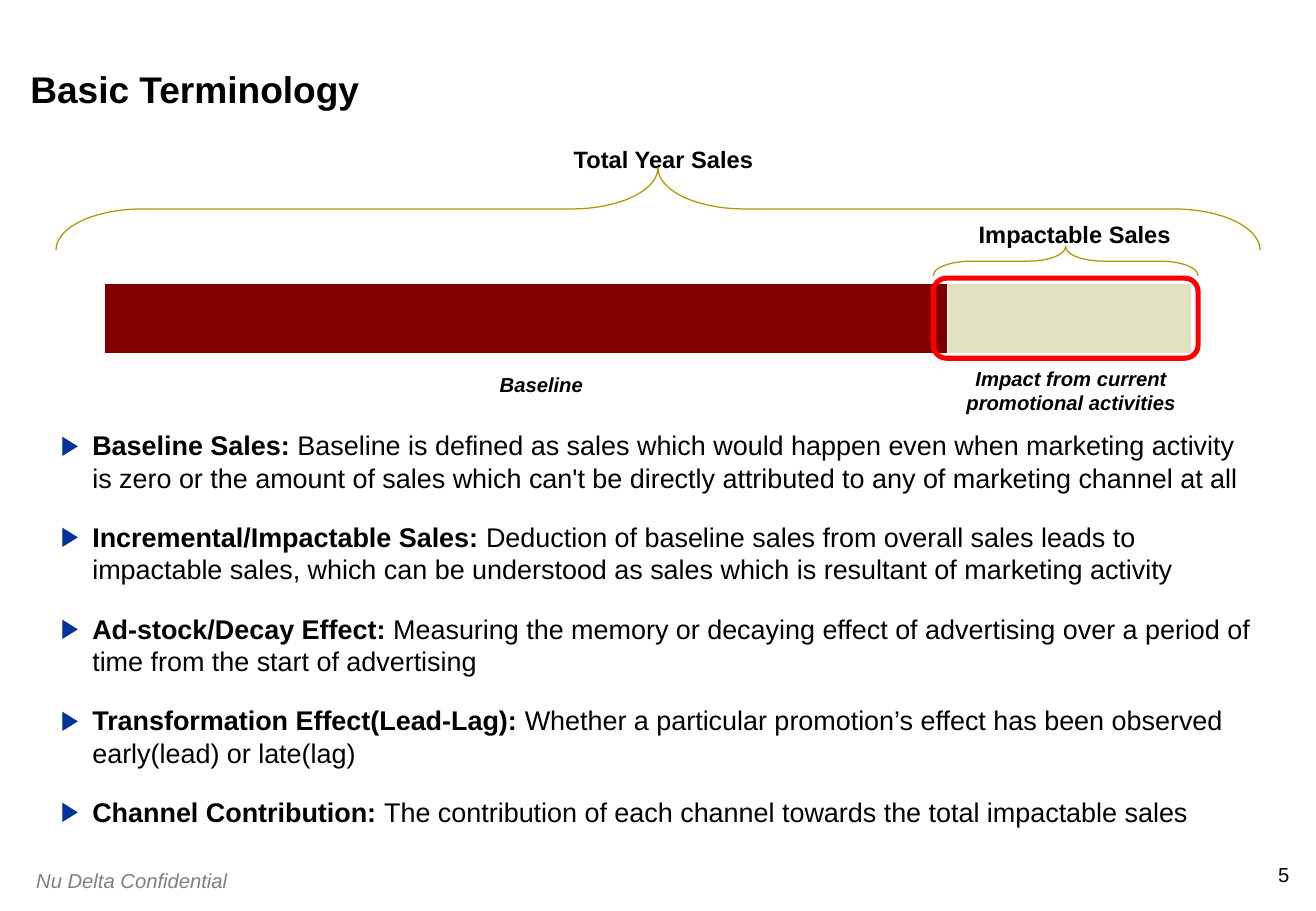
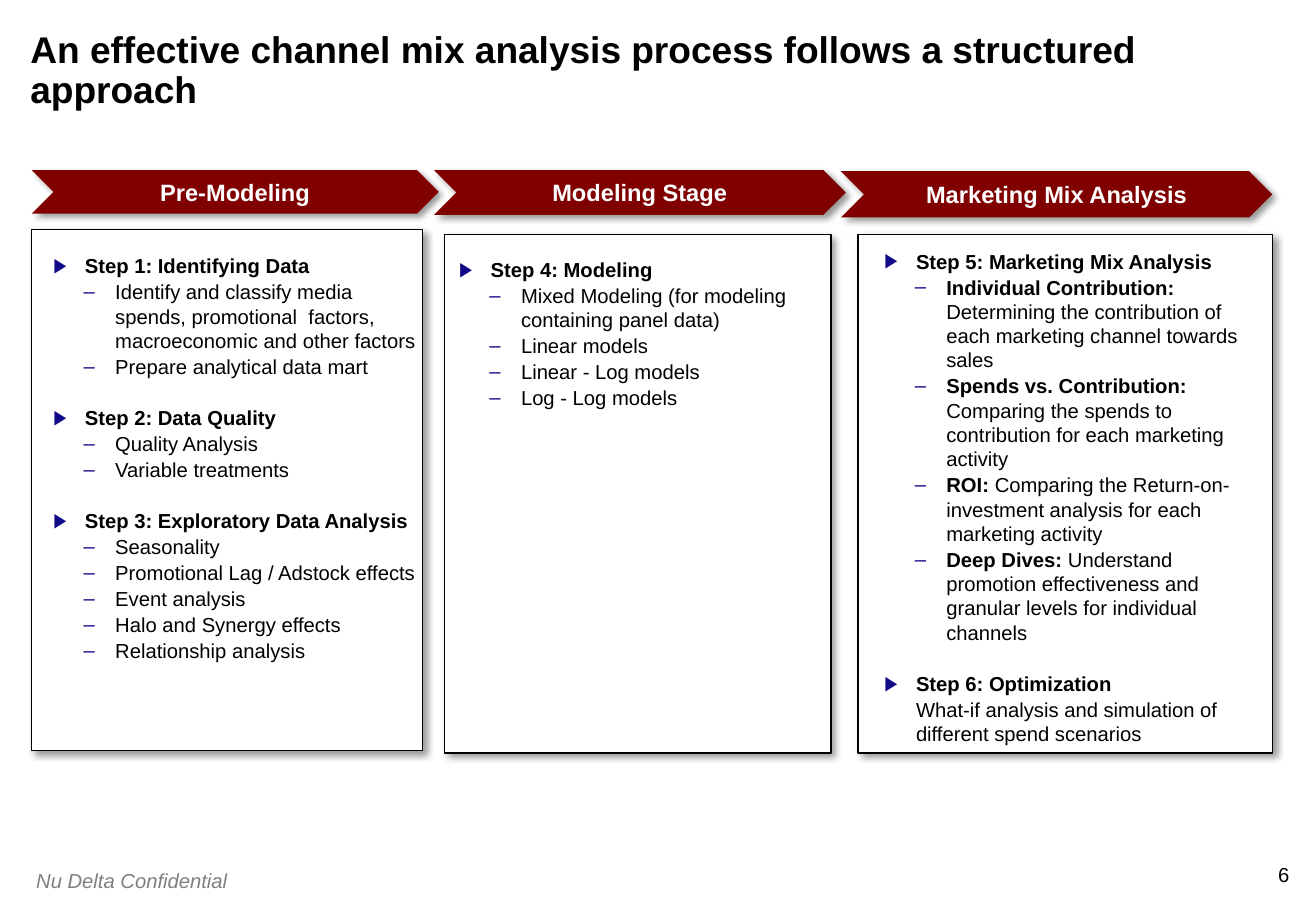
from dataclasses import dataclass

from lxml import etree
from pptx import Presentation
from pptx.chart.data import CategoryChartData
from pptx.dml.color import RGBColor
from pptx.enum.chart import XL_CHART_TYPE as CHART
from pptx.enum.shapes import MSO_SHAPE as SHAPE
from pptx.enum.text import MSO_ANCHOR as ANCHOR, PP_ALIGN as ALIGN
from pptx.oxml import parse_xml
from pptx.oxml.ns import nsdecls, qn
from pptx.util import Pt

EMU_PER_PX = 9144  # 100 px to the inch


@dataclass(frozen=True)
class Theme:
    font: str = "Arial"
    black: str = "000000"
    white: str = "FFFFFF"
    grey: str = "808080"
    maroon: str = "800000"
    sand: str = "E2E1C0"
    gold: str = "B69404"
    red: str = "FF0000"
    blue: str = "003399"
    navy: str = "120989"
    title: int = 22
    body: int = 16
    label: int = 14
    small: int = 12


T = Theme()

TERMS = [
    ("Baseline Sales: ", "Baseline is defined as sales which would happen even when marketing "
     "activity is zero or the amount of sales which can't be directly attributed to any of "
     "marketing channel at all"),
    ("Incremental/Impactable Sales: ", "Deduction of baseline sales from overall sales leads to "
     "impactable sales, which can be understood as sales which is resultant of marketing activity"),
    ("Ad-stock/Decay Effect: ", "Measuring the memory or decaying effect of advertising over a "
     "period of time from the start of advertising"),
    ("Transformation Effect(Lead-Lag): ", "Whether a particular promotion’s effect has been "
     "observed early(lead) or late(lag)"),
    ("Channel Contribution: ", "The contribution of each channel towards the total impactable sales"),
]

# Each step: heading, bulleted (lead, text) items, unbulleted note
PRE_MODELING = [
    ("Step 1: Identifying Data", [
        ("", "Identify and classify media spends, promotional  factors, "
         "macroeconomic and other factors"),
        ("", "Prepare analytical data mart")], ""),
    ("Step 2: Data Quality", [
        ("", "Quality Analysis"), ("", "Variable treatments")], ""),
    ("Step 3: Exploratory Data Analysis", [
        ("", "Seasonality"), ("", "Promotional Lag / Adstock effects"), ("", "Event analysis"),
        ("", "Halo and Synergy effects"), ("", "Relationship analysis")], ""),
]
MODELING = [
    ("Step 4: Modeling", [
        ("", "Mixed Modeling (for modeling containing panel data)"), ("", "Linear models"),
        ("", "Linear - Log models"), ("", "Log - Log models")], ""),
]
MIX_ANALYSIS = [
    ("Step 5: Marketing Mix Analysis", [
        ("Individual Contribution: ",
         "Determining the contribution of each marketing channel towards sales"),
        ("Spends vs. Contribution: ",
         "Comparing the spends to contribution for each marketing activity"),
        ("ROI: ", "Comparing the Return-on-investment analysis for each marketing activity"),
        ("Deep Dives: ",
         "Understand promotion effectiveness and granular levels for individual channels")], ""),
    ("Step 6: Optimization", [], "What-if analysis and simulation of different spend scenarios"),
]

# Stage name, chevron box, panel box, text box, steps
STAGES = [
    ("Pre-Modeling", (26, 140, 335, 36), (26, 189, 322, 429), (34, 204, 321, 386), PRE_MODELING),
    ("Modeling Stage", (357, 140, 339, 37), (366, 193, 318, 427), (368, 207, 314, 184), MODELING),
    ("Marketing Mix Analysis", (692, 141, 355, 38), (706, 193, 341, 427), (718, 200, 321, 420),
     MIX_ANALYSIS),
]


def emu(*px):
    return [round(v * EMU_PER_PX) for v in px]


def rgb(value):
    return RGBColor.from_string(value)


def add_run(p, text, size, color=T.black, bold=False, italic=False):
    r = p.add_run()
    r.text = text
    f = r.font
    f.name, f.size, f.bold, f.italic = T.font, Pt(size), bold, italic
    f.color.rgb = rgb(color)


def set_frame(tf, anchor=ANCHOR.TOP, inset=(0, 0), wrap=True):
    tf.word_wrap = wrap
    tf.vertical_anchor = anchor
    tf.margin_left = tf.margin_right = emu(inset[0])[0]
    tf.margin_top = tf.margin_bottom = emu(inset[1])[0]


def add_text(slide, box, text, size, align=ALIGN.LEFT, anchor=ANCHOR.TOP, inset=(0, 0),
             wrap=True, **style):
    tf = slide.shapes.add_textbox(*emu(*box)).text_frame
    set_frame(tf, anchor, inset, wrap)
    p = tf.paragraphs[0]
    p.alignment = align
    add_run(p, text, size, **style)


def add_shape(slide, kind, box, fill=None, line=None, width=0.75):
    sp = slide.shapes.add_shape(kind, *emu(*box))
    sp.shadow.inherit = False
    if fill:
        sp.fill.solid()
        sp.fill.fore_color.rgb = rgb(fill)
    else:
        sp.fill.background()
    if line:
        sp.line.color.rgb = rgb(line)
        sp.line.width = Pt(width)
    else:
        sp.line.fill.background()
    return sp


def add_label(slide, kind, box, text, fill, color):
    sp = add_shape(slide, kind, box, fill)
    set_frame(sp.text_frame, ANCHOR.MIDDLE, (5, 0))
    p = sp.text_frame.paragraphs[0]
    p.alignment = ALIGN.CENTER
    add_run(p, text, T.label, color, bold=True)
    return sp


def drop_shadow(sp):
    effects = sp._element.spPr.find(qn("a:effectLst"))
    effects.append(parse_xml(
        f'<a:outerShdw {nsdecls("a")} blurRad="{Pt(4)}" dist="{Pt(3)}" dir="2700000" algn="tl" '
        f'rotWithShape="0"><a:srgbClr val="{T.black}"><a:alpha val="40000"/></a:srgbClr>'
        '</a:outerShdw>'))


def add_brace(slide, left, top, width, height, curve):
    """Brace opening downwards; the box is the one it fills once turned."""
    shift = (width - height) / 2
    sp = add_shape(slide, SHAPE.RIGHT_BRACE, (left + shift, top - shift, height, width),
                   line=T.gold)
    sp.rotation = 270
    sp.adjustments[0], sp.adjustments[1] = curve, 0.5


def set_bullet(p, char, color, margin, hang=26):
    pPr = p._p.get_or_add_pPr()
    pPr.set("marL", str(emu(margin)[0]))
    pPr.set("indent", str(-emu(hang)[0]))
    if not char:
        etree.SubElement(pPr, qn("a:buNone"))
        return
    clr = etree.SubElement(pPr, qn("a:buClr"))
    etree.SubElement(clr, qn("a:srgbClr")).set("val", color)
    etree.SubElement(pPr, qn("a:buFont")).set("typeface", T.font)
    etree.SubElement(pPr, qn("a:buChar")).set("char", char)


def add_item(tf, lead, text, size, before, bullet):
    """Append a paragraph with a bold lead; the first one uses the empty paragraph."""
    first = not tf.paragraphs[0].runs
    p = tf.paragraphs[0] if first else tf.add_paragraph()
    p.space_before = Pt(0 if first else before)
    set_bullet(p, *bullet)
    if lead:
        add_run(p, lead, size, bold=True)
    if text:
        add_run(p, text, size)


def add_terms(slide, box, terms):
    tf = slide.shapes.add_textbox(*emu(*box)).text_frame
    set_frame(tf)
    for lead, text in terms:
        add_item(tf, lead, text, T.body, 16, ("▶", T.blue, 26))


def add_steps(slide, box, steps):
    tf = slide.shapes.add_textbox(*emu(*box)).text_frame
    set_frame(tf, inset=(10, 5))
    for heading, items, note in steps:
        add_item(tf, heading, "", T.small, 16, ("▶", T.navy, 26))
        for lead, text in items:
            add_item(tf, lead, text, T.small, 1, ("–", T.navy, 51))
        if note:
            add_item(tf, "", note, T.small, 1, ("", T.navy, 26, 0))


def add_sales_bar(slide, box):
    data = CategoryChartData()
    data.categories = ["1"]
    data.add_series("Series 1", [100])
    data.add_series("Series 2", [29])
    chart = slide.shapes.add_chart(CHART.BAR_STACKED, *emu(*box), data).chart
    chart.has_legend = chart.has_title = False
    chart.font.name, chart.font.size = T.font, Pt(18)
    chart.font.color.rgb = rgb(T.black)
    for axis in (chart.category_axis, chart.value_axis):
        axis.has_major_gridlines = False
        axis.visible = False
    chart.value_axis.minimum_scale, chart.value_axis.maximum_scale = 0, 140
    plot = chart.plots[0]
    plot.gap_width, plot.overlap, plot.vary_by_categories = 150, 100, False
    for series, color in zip(plot.series, (T.maroon, T.sand)):
        series.format.fill.solid()
        series.format.fill.fore_color.rgb = rgb(color)
        series.format.line.color.rgb = rgb(T.white)

    area = chart._chartSpace.chart.plotArea
    for old in area.findall(qn("c:layout")):
        area.remove(old)
    places = "".join(f'<c:{tag} val="{val}"/>' for tag, val in (
        ("layoutTarget", "inner"), ("xMode", "edge"), ("yMode", "edge"),
        ("x", 0.02), ("y", 0.05), ("w", 0.96), ("h", 0.9)))
    area.insert(0, parse_xml(f'<c:layout {nsdecls("c")}><c:manualLayout>{places}'
                             '</c:manualLayout></c:layout>'))


def new_slide(prs, title, number):
    """Slide with the shared title style, footer and page number."""
    slide = prs.slides.add_slide(prs.slide_layouts[5])
    sp = slide.shapes.title
    sp.left, sp.top, sp.width, sp.height = emu(25, 0, 983, 92)
    set_frame(sp.text_frame, ANCHOR.BOTTOM)
    p = sp.text_frame.paragraphs[0]
    p.alignment, p.line_spacing = ALIGN.LEFT, 0.9
    add_run(p, title, T.title, bold=True)
    add_text(slide, (1040, 710, 21, 20), str(number), T.small, ALIGN.RIGHT, wrap=False)
    add_text(slide, (20, 710, 200, 30), "Nu Delta Confidential", T.small, inset=(10, 5),
             color=T.grey, italic=True)
    return slide


def build_terminology(prs):
    slide = new_slide(prs, "Basic Terminology", 5)
    add_sales_bar(slide, (66, 182, 1011, 161))
    for text, box in (("Impactable Sales", (783, 176, 203, 34)),
                      ("Total Year Sales", (402, 114, 288, 34))):
        add_label(slide, SHAPE.RECTANGLE, box, text, T.white, T.black)
    add_terms(slide, (50, 353, 982, 374), TERMS)
    add_brace(slide, 46, 138, 991, 68, 1.045)
    for text, box in (("Baseline", (391, 295, 109, 43)),
                      ("Impact from current promotional activities", (768, 300, 227, 43))):
        add_text(slide, box, text, T.small, ALIGN.CENTER, ANCHOR.MIDDLE, bold=True, italic=True)
    add_shape(slide, SHAPE.ROUNDED_RECTANGLE, (768, 229, 218, 66), line=T.red, width=3)
    add_brace(slide, 768, 203, 218, 24, 1.3)


def build_process(prs):
    slide = new_slide(
        prs, "An effective channel mix analysis process follows a structured approach", 6)
    for name, chevron_box, panel_box, text_box, steps in STAGES:
        drop_shadow(add_label(slide, SHAPE.CHEVRON, chevron_box, name, T.maroon, T.white))
        drop_shadow(add_shape(slide, SHAPE.RECTANGLE, panel_box, T.white, T.black))
        add_steps(slide, text_box, steps)


def main():
    prs = Presentation()
    prs.slide_width, prs.slide_height = emu(1083, 750)
    build_terminology(prs)
    build_process(prs)
    prs.save("out.pptx")


if __name__ == "__main__":
    main()
